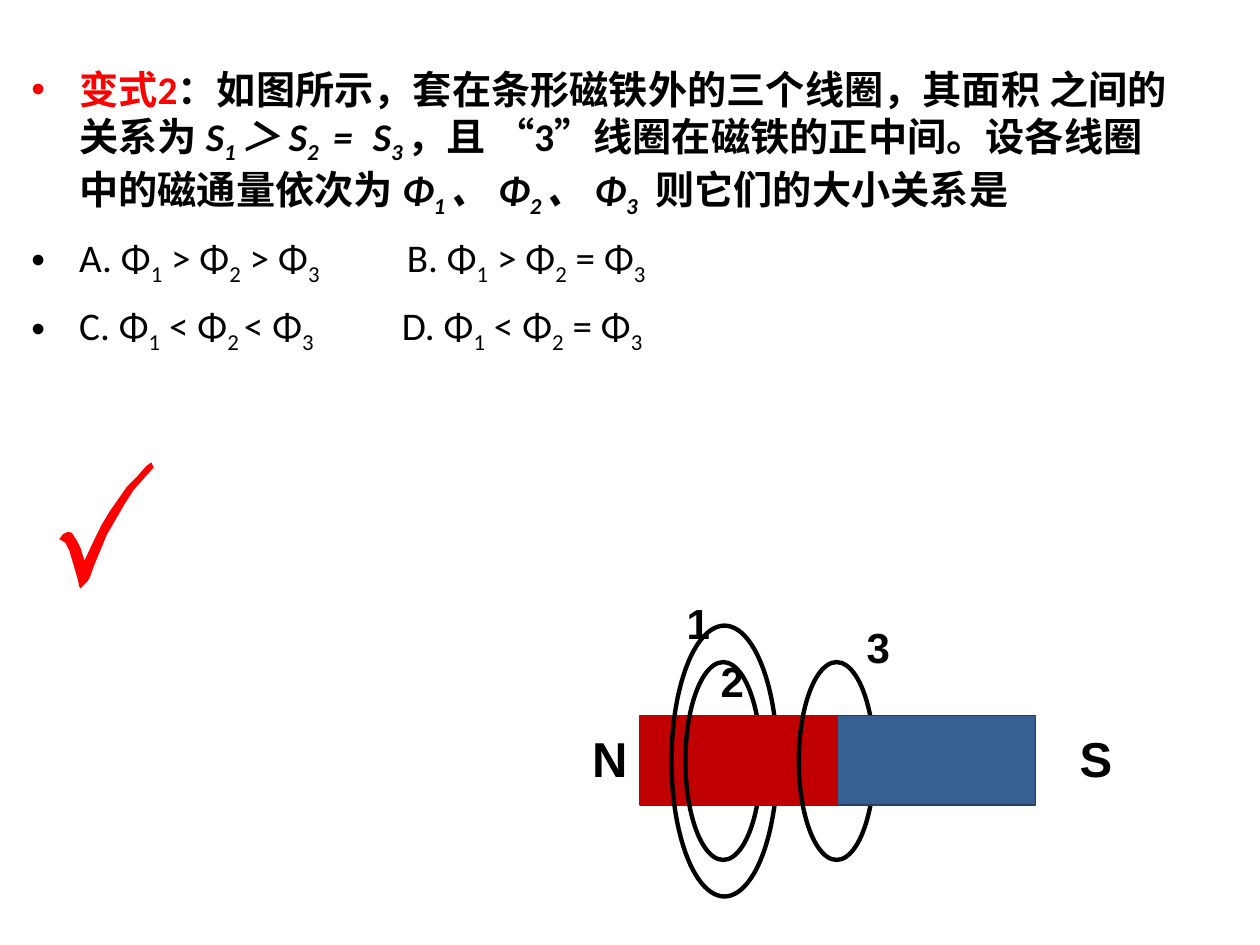
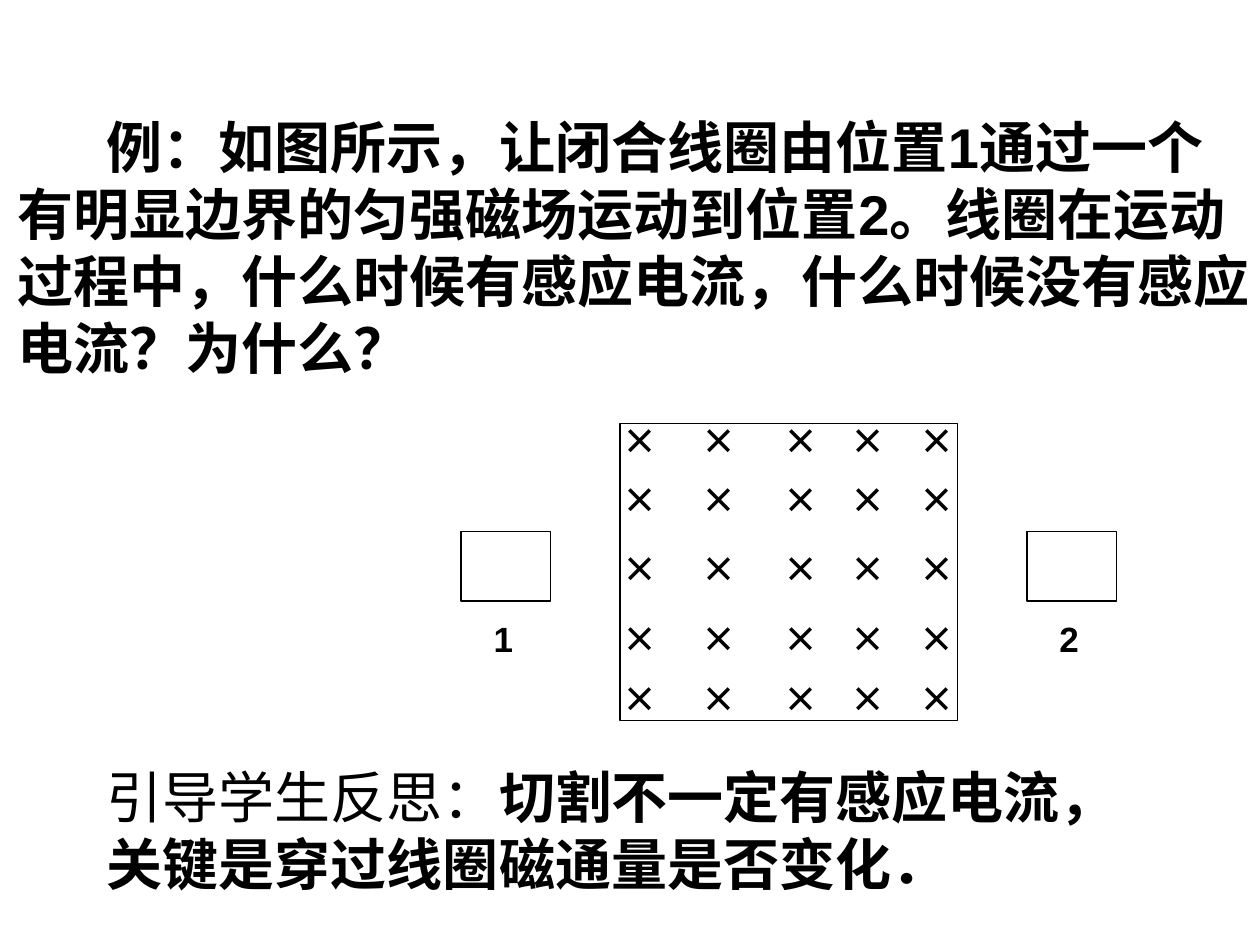
from itertools import product

from lxml import etree
from pptx import Presentation
from pptx import util as u
from pptx.dml.color import RGBColor
from pptx.enum import shapes, text
from pptx.oxml import ns

COLORS = {
    "ink": "000000",
    "accent": "FF0000",
    "north": "C00000",
    "south": "376092",
    "south_edge": "254061",
}
CJK_FONT = "Noto Sans CJK SC"
LINE_RATIO = 1.2
BODY_SIZE = 22.4
TEXT_INDENT = 0.38

FIELD_COLUMNS = [4.84, 5.47, 6.12, 6.65, 7.2]
FIELD_ROWS = [3.28, 3.75, 4.3, 4.85, 5.33]
TICK_OUTLINE = [
    (1.2, 3.67), (1.22, 3.71), (1.14, 3.8), (1.06, 3.89), (0.99, 4),
    (0.92, 4.12), (0.85, 4.24), (0.8, 4.36), (0.75, 4.48), (0.71, 4.59),
    (0.69, 4.62), (0.64, 4.67), (0.63, 4.66), (0.62, 4.61), (0.6, 4.54),
    (0.58, 4.47), (0.55, 4.37), (0.52, 4.31), (0.49, 4.29), (0.47, 4.28),
    (0.5, 4.24), (0.54, 4.22), (0.57, 4.23), (0.61, 4.29), (0.64, 4.35),
    (0.67, 4.45), (0.75, 4.28), (0.81, 4.16), (0.87, 4.06), (0.94, 3.96),
    (1.01, 3.86), (1.09, 3.78), (1.16, 3.7),
]


def color(name):
    return RGBColor.from_string(COLORS[name])


def inches(*lengths):
    return [u.Inches(length) for length in lengths]


def add_child(parent, tag, **attributes):
    child = etree.SubElement(parent, ns.qn(tag))
    for key, value in attributes.items():
        child.set(key, str(value))
    return child


def add_span(para, words, ink="ink", subscript=False, spacing=0, **font_values):
    span = para.add_run()
    span.text = words
    font_values["size"] = u.Pt(font_values["size"])
    for key, value in font_values.items():
        setattr(span.font, key, value)
    span.font.color.rgb = color(ink)
    properties = span.font._element
    add_child(properties, "a:ea", typeface=CJK_FONT)
    if subscript:
        properties.set("baseline", "-25000")
    if spacing:
        properties.set("spc", str(round(spacing * 100)))


def add_formula(para, words, **font_values):
    first, *rest = words.split("{")
    if first:
        add_span(para, first, **font_values)
    for part in rest:
        lowered, plain = part.split("}")
        add_span(para, lowered, subscript=True, **font_values)
        if plain:
            add_span(para, plain, **font_values)


def add_bullet(para, ink="ink", tab=None):
    properties = para._p.get_or_add_pPr()
    properties.set("marL", str(u.Inches(TEXT_INDENT)))
    properties.set("indent", str(-u.Inches(TEXT_INDENT)))
    add_child(add_child(properties, "a:buClr"), "a:srgbClr", val=COLORS[ink])
    add_child(properties, "a:buFont", typeface="Arial")
    add_child(properties, "a:buChar", char="•")
    if tab:
        tabs = add_child(properties, "a:tabLst")
        add_child(tabs, "a:tab", pos=u.Inches(tab), algn="l")


def add_box(page, place):
    frame = page.shapes.add_textbox(*inches(*place)).text_frame
    frame.word_wrap = True
    frame.vertical_anchor = text.MSO_ANCHOR.TOP
    return frame


def add_text(page, place, spans, size, first_indent=0):
    para = add_box(page, place).paragraphs[0]
    para.line_spacing = u.Pt(size * LINE_RATIO)
    if first_indent:
        para._p.get_or_add_pPr().set("indent", str(u.Inches(first_indent)))
    for words, name, bold in spans:
        add_span(para, words, size=size, name=name, bold=bold)


def add_label(page, place, words, size, name="Arial"):
    add_text(page, place, [(words, name, True)], size)


def paint(shape, fill=None, line=None, width=0.75):
    shape.shadow.inherit = False
    if fill:
        shape.fill.solid()
        shape.fill.fore_color.rgb = color(fill)
    else:
        shape.fill.background()
    if line:
        shape.line.color.rgb = color(line)
        shape.line.width = u.Pt(width)
    else:
        shape.line.fill.background()


def add_block(page, place, fill=None, line="ink"):
    kind = shapes.MSO_SHAPE.RECTANGLE
    paint(page.shapes.add_shape(kind, *inches(*place)), fill, line)


def add_coil(page, center_x, width, height, center_y=6.04):
    place = inches(center_x - width / 2, center_y - height / 2, width, height)
    kind = shapes.MSO_SHAPE.FLOWCHART_CONNECTOR
    paint(page.shapes.add_shape(kind, *place), line="ink", width=2.5)


def add_tick(page):
    points = [inches(*point) for point in TICK_OUTLINE]
    builder = page.shapes.build_freeform(*points[0])
    builder.add_line_segments(points[1:], close=True)
    paint(builder.convert_to_shape(), fill="accent")


def add_question(page):
    frame = add_box(page, (0.15, 0.42, 9.31, 2.86))
    stem = frame.paragraphs[0]
    stem.line_spacing = u.Pt(30.4)
    add_bullet(stem, "accent")
    base = {"size": BODY_SIZE, "name": "Calibri", "bold": True}
    add_span(stem, "变式2", ink="accent", **base)
    for words, italic, spacing in [
        ("：如图所示，套在条形磁铁外的三个线圈，其面积 之间的关系为 ", False, 0),
        ("S{1 }＞ S{2}", True, 0),
        (" = ", True, 3.2),
        ("S{3 }", True, 0),
        ("，且 “3”线圈在磁铁的正中间。设各线圈中的磁通量依次为 ", False, 0),
        ("Φ{1 }、 Φ{2 }、 Φ{3}", True, 0),
        (" ", True, 5),
        ("则它们的大小关系是", False, 0),
    ]:
        add_formula(stem, words, italic=italic, spacing=spacing, **base)
    base["bold"] = False
    for options, tab in [
        ("A. Φ{1} > Φ{2} > Φ{3}\tB. Φ{1} > Φ{2} = Φ{3}", 2.98),
        ("C. Φ{1} < Φ{2 }< Φ{3}\tD. Φ{1} < Φ{2} = Φ{3}", 2.94),
    ]:
        para = frame.add_paragraph()
        para.space_before = u.Pt(8)
        para.line_spacing = u.Pt(31)
        add_bullet(para, tab=tab)
        add_formula(para, options, **base)


def add_magnet(page):
    top, half, height = 5.68, 1.57, 0.71
    middle = 6.65
    add_block(page, (middle - half, top, half, height), "north", "north")
    add_coil(page, 5.75, 0.84, 2.15)
    for center_x in (5.74, 6.64):
        add_coil(page, center_x, 0.6, 1.57)
    add_block(page, (5.6, top, 0.67, height), "north", "north")
    add_block(page, (middle, top, half, height), "south", "south_edge")
    for pole, left in (("N", 4.6), ("S", 8.47)):
        add_label(page, (left, 5.73, 0.48, 0.57), pole, 28)
    for number, left, label_top in (("1", 5.35, 4.69), ("2", 5.62, 5.15),
                                    ("3", 6.78, 4.88)):
        add_label(page, (left, label_top, 0.38, 0.5), number, 24)


def add_field(page):
    for left, top in product(FIELD_COLUMNS, FIELD_ROWS):
        add_label(page, (left, top, 0.79, 0.44), "×", 20, CJK_FONT)
    for number, left in (("1", 3.66), ("2", 8.15)):
        add_block(page, (left, 4.22, 0.71, 0.55))
        add_label(page, (left + 0.16, 4.85, 0.79, 0.44), number, 20)
    add_block(page, (4.92, 3.36, 2.68, 2.36))


def main():
    deck = Presentation()
    deck.slide_width, deck.slide_height = inches(10, 7.5)
    flux_page, field_page = [
        deck.slides.add_slide(deck.slide_layouts[6]) for _ in range(2)
    ]

    add_question(flux_page)
    add_magnet(flux_page)
    add_tick(flux_page)

    example = ("例：如图所示，让闭合线圈由位置1通过一个有明显边界的匀强磁场"
               "运动到位置2。线圈在运动过程中，什么时候有感应电流，"
               "什么时候没有感应电流？为什么？")
    add_text(field_page, (0.04, 0.84, 10, 2.24), [(example, "Arial", True)],
             32, first_indent=0.71)
    add_field(field_page)
    add_text(field_page, (0.75, 6, 8.5, 1.17), [
        ("引导学生反思：", "Times New Roman", False),
        ("切割不一定有感应电流，关键是穿过线圈磁通量是否变化．",
         "Times New Roman", True),
    ], 32)
    deck.save("out.pptx")


if __name__ == "__main__":
    main()
